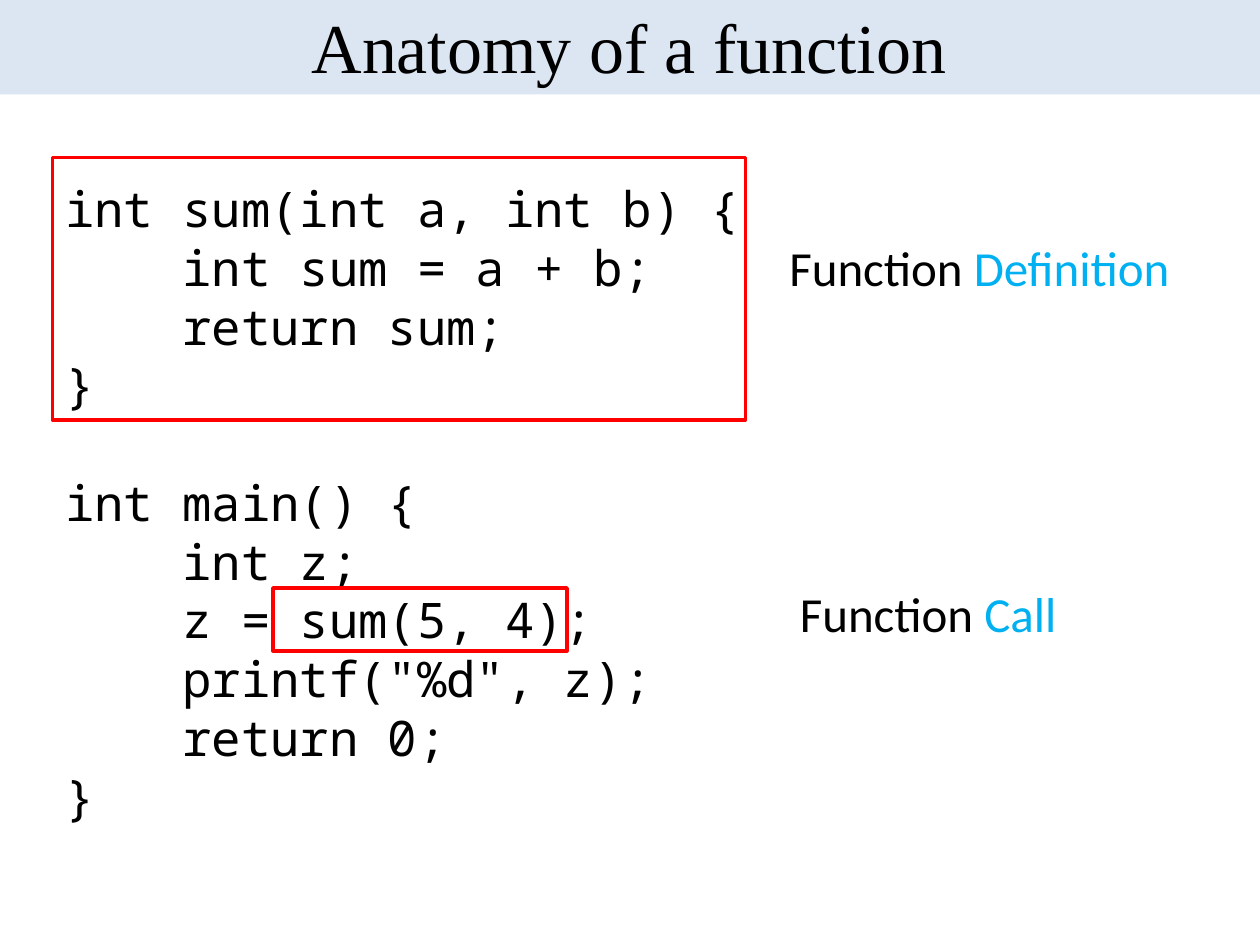
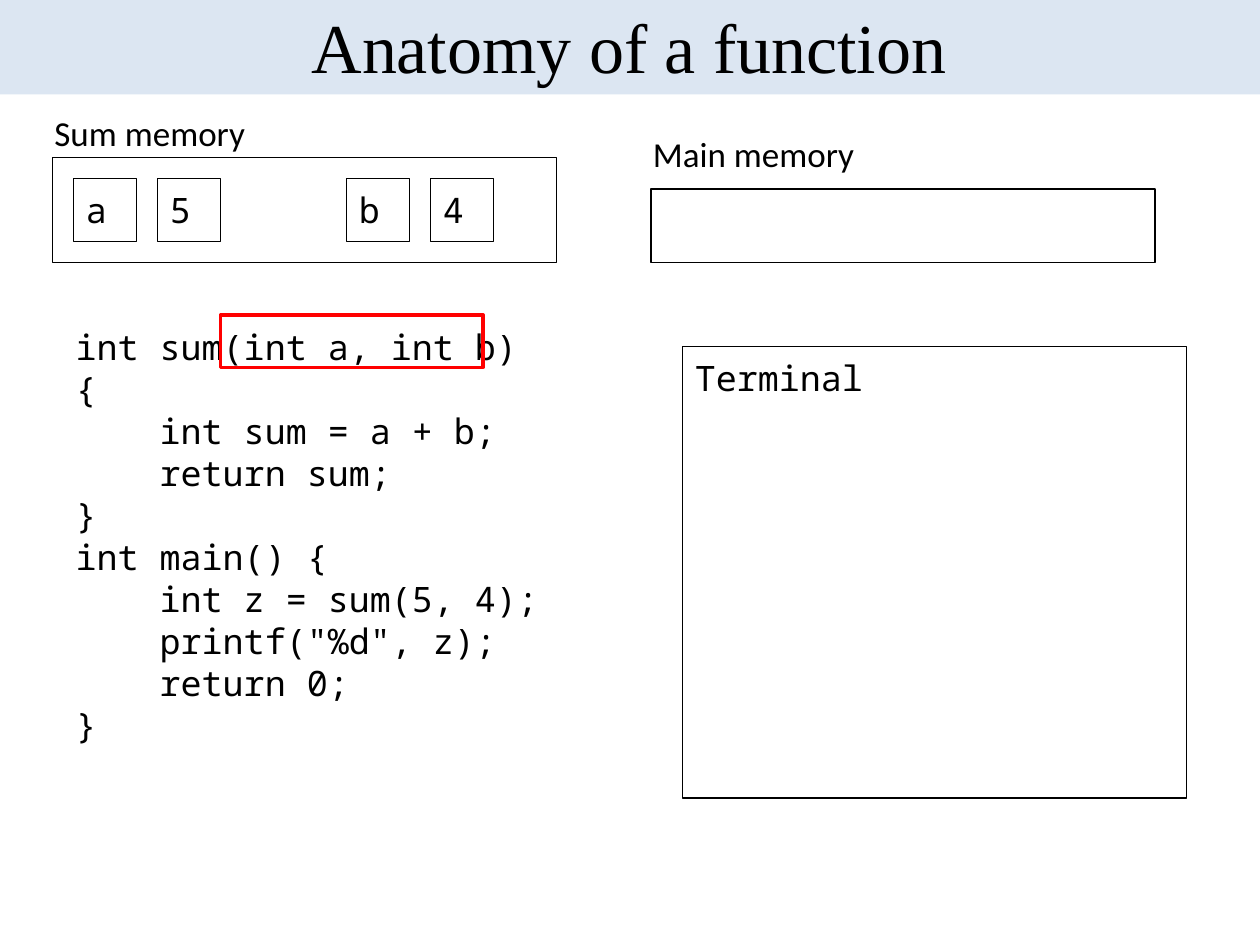
"""Build two slides on the anatomy of a C function."""
from lxml import etree
from pptx import Presentation
from pptx.dml.color import RGBColor
from pptx.enum.shapes import MSO_SHAPE
from pptx.enum.text import MSO_ANCHOR, MSO_AUTO_SIZE, PP_ALIGN
from pptx.oxml.ns import qn
from pptx.util import Pt

RECT = MSO_SHAPE.RECTANGLE
TOP, MIDDLE = MSO_ANCHOR.TOP, MSO_ANCHOR.MIDDLE
NO_FIT = MSO_AUTO_SIZE.NONE
LEFT, CENTER = PP_ALIGN.LEFT, PP_ALIGN.CENTER
BLACK, RED, BLUE, BAND = "000000", "FF0000", "00B0F0", "DCE6F2"
MONO, SANS, SERIF = "Noto Sans Mono", "Calibri", "Times New Roman"


def rgb(value):
    return RGBColor.from_string(value)


def add_run(p, text, font, size, color=BLACK):
    r = p.add_run()
    r.text = text
    r.font.name = font
    r.font.size = Pt(size)
    r.font.color.rgb = rgb(color)


definition_slide = {
    "code_box": (30, 96, 660, 396),
    "code_size": 28,
    "functions": [
        ["int sum(int a, int b) {", "    int sum = a + b;", "    return sum;", "}"],
        ["int main() {", "    int z;", "    z = sum(5, 4);",
         '    printf("%d", z);', "    return 0;", "}"],
    ],
    "function_gap": 33.6,
    "boxes": [],
    "highlights": [(156, 336, 168, 36), (30, 90, 396, 150)],
    "labels": [
        ((444, 132, 252, 41), 28, [("Function ", BLACK), ("Definition", BLUE)]),
        ((450, 330, 252, 41), 28, [("Function ", BLACK), ("Call", BLUE)]),
    ],
}

memory_slide = {
    "code_box": (36, 180, 288, 258),
    "code_size": 20,
    "functions": [
        ["int sum(int a, int b) {", "    int sum = a + b;", "    return sum;", "}"],
        ["int main() {", "    int z = sum(5, 4);", '    printf("%d", z);',
         "    return 0;", "}"],
    ],
    "function_gap": 0,
    "boxes": [
        ((390, 198, 288, 258), "Terminal"),
        ((30, 90, 288, 60), ""),
        ((372, 108, 288, 42), ""),
    ],
    "highlights": [(126, 180, 150, 30)],
    "labels": [
        ((24, 60, 126, 32), 20, [("Sum memory", BLACK)]),
        ((366, 72, 156, 32), 20, [("Main memory", BLACK)]),
    ],
}
for x, name, value in [(42, "a", "5"), (198, "b", "4")]:
    for i, text in enumerate([name, value]):
        memory_slide["boxes"].append(((x + 48 * i, 102, 36, 36), text))

prs = Presentation()
prs.slide_width, prs.slide_height = Pt(720), Pt(540)

for content in [definition_slide, memory_slide]:
    s = prs.slides.add_slide(prs.slide_layouts[1])
    title, body = s.placeholders

    title.left, title.top, title.width, title.height = Pt(-1), Pt(-2), Pt(721), Pt(56)
    title.fill.solid()
    title.fill.fore_color.rgb = rgb(BAND)
    tf = title.text_frame
    tf.auto_size, tf.vertical_anchor = NO_FIT, MIDDLE
    p = tf.paragraphs[0]
    p.alignment = CENTER
    add_run(p, "Anatomy of a function", SERIF, 40)

    body.left, body.top, body.width, body.height = map(Pt, content["code_box"])
    tf = body.text_frame
    tf.auto_size, tf.vertical_anchor, tf.word_wrap = NO_FIT, TOP, True
    tf.margin_top = Pt(6)
    size = content["code_size"]
    for n, function in enumerate(content["functions"]):
        for i, line in enumerate(function):
            first = n == 0 and i == 0
            p = tf.paragraphs[0] if first else tf.add_paragraph()
            pPr = p._p.get_or_add_pPr()
            pPr.set("marL", "0")
            pPr.set("indent", "0")
            etree.SubElement(pPr, qn("a:buNone"))
            p.line_spacing = Pt(1.2 * size)
            p.space_before = Pt(content["function_gap"] if n and i == 0 else 0)
            add_run(p, line, MONO, size)

    outlines = [(box, text, BLACK, 0.75) for box, text in content["boxes"]]
    outlines += [(box, "", RED, 2) for box in content["highlights"]]
    for box, text, color, width in outlines:
        sp = s.shapes.add_shape(RECT, *map(Pt, box))
        sp.shadow.inherit = False
        sp.fill.background()
        sp.line.color.rgb = rgb(color)
        sp.line.width = Pt(width)
        if text:
            tf = sp.text_frame
            tf.vertical_anchor, tf.word_wrap = TOP, True
            tf.margin_top = Pt(5.5)
            p = tf.paragraphs[0]
            p.alignment = LEFT
            p.line_spacing = Pt(24)
            add_run(p, text, MONO, 20)

    for box, size, runs in content["labels"]:
        tf = s.shapes.add_textbox(*map(Pt, box)).text_frame
        tf.word_wrap = True
        for text, color in runs:
            add_run(tf.paragraphs[0], text, SANS, size, color)

prs.save("out.pptx")
